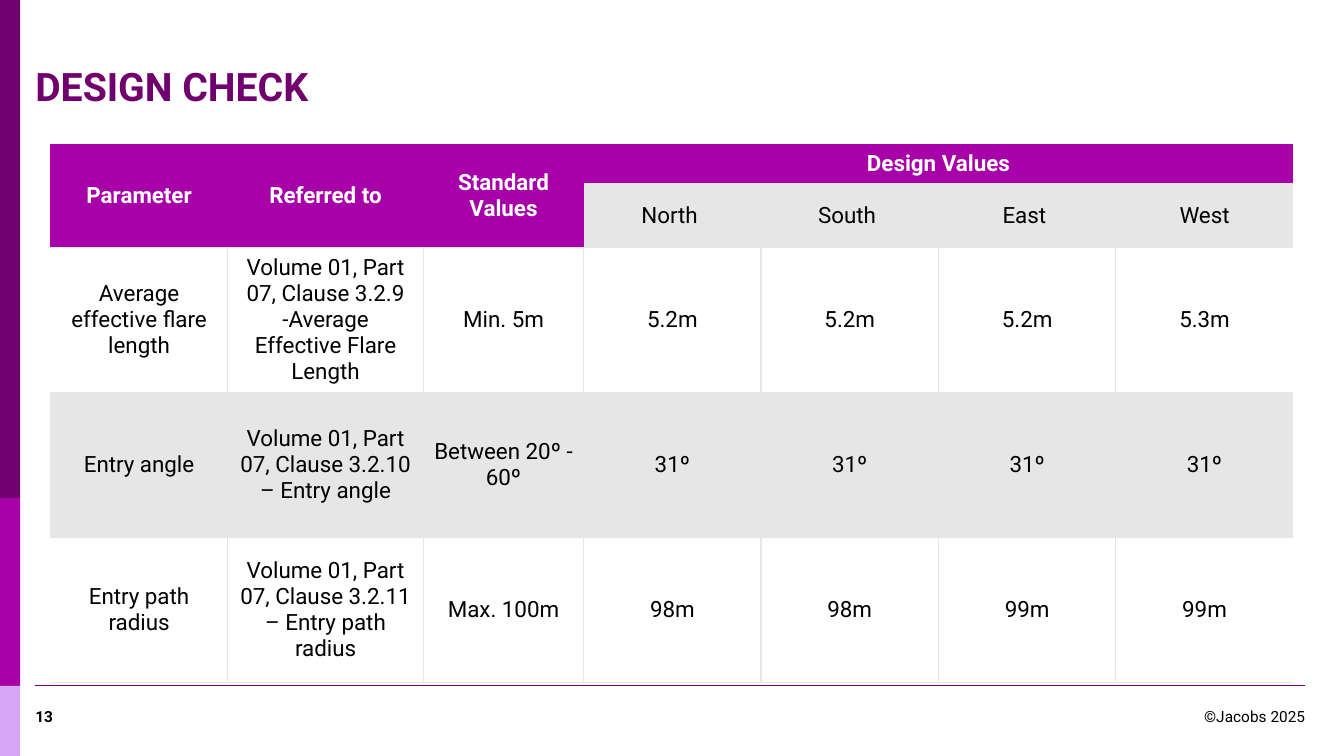
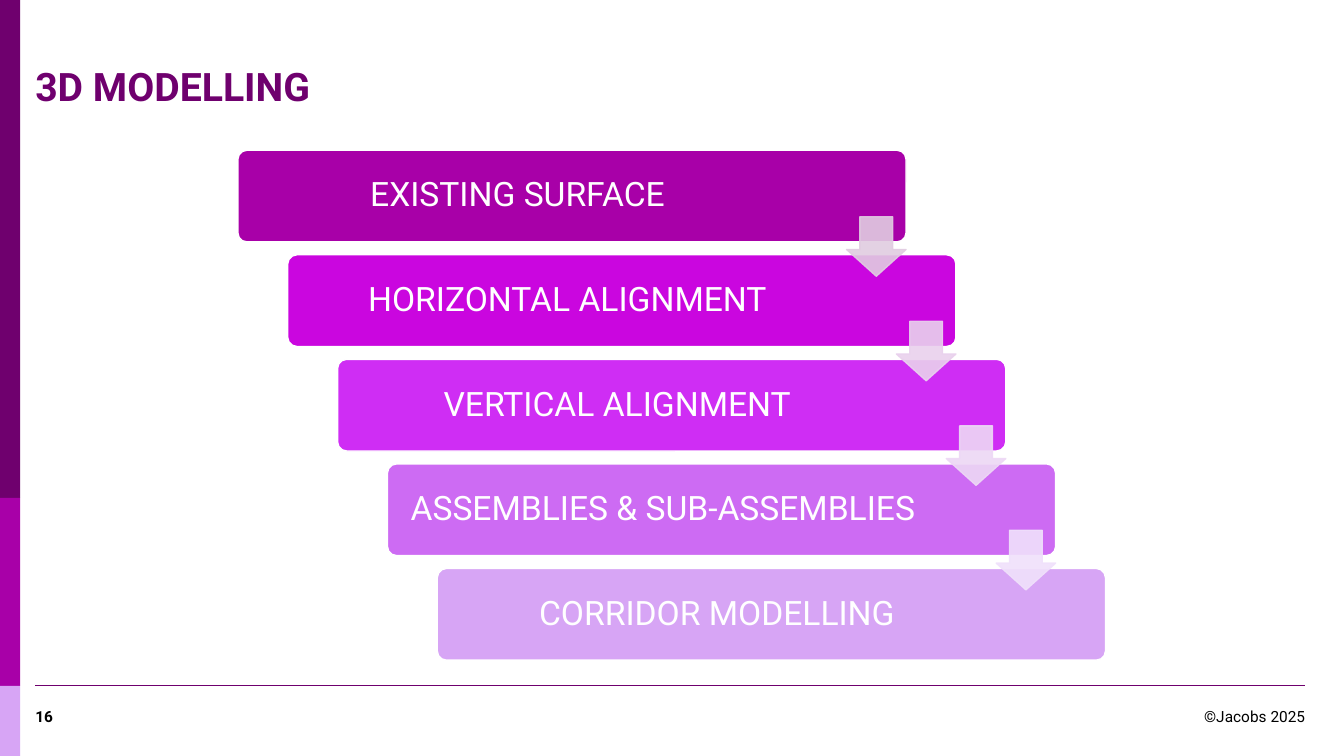
from dataclasses import dataclass

from pptx import Presentation
from pptx.dml.color import RGBColor
from pptx.enum.shapes import MSO_CONNECTOR, MSO_SHAPE
from pptx.enum.text import MSO_ANCHOR, PP_ALIGN
from pptx.oxml.ns import qn
from pptx.util import Inches, Pt
from lxml.etree import SubElement


@dataclass(frozen=True)
class Theme:
    """Colours, font and type sizes shared by all slides."""
    font: str = "Roboto"
    dark: str = "6F006E"
    main: str = "A800A8"
    light: str = "D7A5F5"
    grey: str = "E6E6E6"
    white: str = "FFFFFF"
    black: str = "000000"
    steps: tuple = ("A800A8", "CA06DF", "CF2DF4", "CD6BF3", "D7A5F5")
    arrows: tuple = ("E1CCE1", "E9D1ED", "EDD8F5", "F0E1FB")
    title_size: int = 28
    step_size: int = 24
    table_size: int = 16
    footer_size: int = 11


THEME = Theme()
WIDTH, HEIGHT = Inches(13.33), Inches(7.5)
LEFT, BODY_WIDTH = 2.63, 94.5
FOOTER_TOP, FOOTER_HEIGHT = 92, 4

HEADINGS = ("Parameter", "Referred to", "Standard Values", "Design Values")
ARMS = ("North ", "South ", "East ", "West")
CHECKS = (
    ("Average effective flare length",
     "Volume 01, Part 07, Clause 3.2.9 -Average Effective Flare Length",
     "Min. 5m", "5.2m", "5.2m", "5.2m", "5.3m"),
    ("Entry angle", "Volume 01, Part 07, Clause 3.2.10 – Entry angle",
     "Between 20º - 60º", "31º", "31º", "31º", "31º"),
    ("Entry path radius",
     "Volume 01, Part 07, Clause 3.2.11 – Entry path radius",
     "Max. 100m", "98m", "98m", "99m", "99m"),
)
STEPS = ("EXISTING SURFACE", "HORIZONTAL ALIGNMENT", "VERTICAL ALIGNMENT",
         "ASSEMBLIES & SUB-ASSEMBLIES ", "CORRIDOR MODELLING")


def across(percent):
    """Turn a percentage of the slide width into a length."""
    return round(WIDTH * percent / 100)


def down(percent):
    """Turn a percentage of the slide height into a length."""
    return round(HEIGHT * percent / 100)


def box(left, top, width, height):
    """Turn four percentages into a position and size."""
    return across(left), down(top), across(width), down(height)


def rgb(color):
    """Make a colour from its hex digits."""
    return RGBColor.from_string(color)


def write(tf, text, size, color, bold=False, align=PP_ALIGN.LEFT):
    """Put one styled paragraph into a text frame."""
    p = tf.paragraphs[0]
    p.text = text
    p.alignment = align
    p.font.name, p.font.size, p.font.bold = THEME.font, Pt(size), bold
    p.font.color.rgb = rgb(color)
    return p


def add_text(s, place, text, size, color, anchor, **style):
    """Add a text box without insets."""
    tf = s.shapes.add_textbox(*box(*place)).text_frame
    tf.word_wrap = True
    tf.vertical_anchor = anchor
    tf.margin_left = tf.margin_right = tf.margin_top = tf.margin_bottom = 0
    return write(tf, text, size, color, **style)


def add_shape(s, kind, place, fill, line=None, adjust=()):
    """Add a flat preset shape."""
    sp = s.shapes.add_shape(kind, *box(*place))
    sp.shadow.inherit = False
    for i, value in enumerate(adjust):
        sp.adjustments[i] = value
    sp.fill.solid()
    sp.fill.fore_color.rgb = rgb(fill)
    if line:
        sp.line.color.rgb = rgb(line)
        sp.line.width = Pt(1)
    else:
        sp.line.fill.background()
    return sp


def add_rule(s, left, right, top):
    """Add the thin line above the footer."""
    line = s.shapes.add_connector(MSO_CONNECTOR.STRAIGHT, across(left),
                                  down(top), across(right), down(top))
    line.line.color.rgb = rgb(THEME.dark)
    line.line.width = Pt(0.5)
    SubElement(line._element.spPr, qn("a:effectLst"))


def add_slide(prs, title, number):
    """Add a slide with side band, title and footer."""
    s = prs.slides.add_slide(prs.slide_layouts[6])
    edges = (0, 65.87, 90.73, 100)
    for top, bottom, color in zip(edges, edges[1:],
                                  (THEME.dark, THEME.main, THEME.light)):
        add_shape(s, MSO_SHAPE.RECTANGLE, (0, top, 1.5, bottom - top), color)
    add_rule(s, LEFT, LEFT + BODY_WIDTH, 90.67)
    p = add_text(s, (LEFT, 7.07, BODY_WIDTH, 9.33), title, THEME.title_size,
                 THEME.dark, MSO_ANCHOR.MIDDLE, bold=True)
    p.line_spacing = 0.9
    footer = (THEME.footer_size, THEME.black, MSO_ANCHOR.BOTTOM)
    add_text(s, (LEFT, FOOTER_TOP, 6.38, FOOTER_HEIGHT), str(number), *footer,
             bold=True)
    credit_width = 21
    add_text(s, (LEFT + BODY_WIDTH - credit_width, FOOTER_TOP, credit_width,
                 FOOTER_HEIGHT), "©Jacobs 2025", *footer,
             align=PP_ALIGN.RIGHT)
    return s


def set_borders(cell, ruled_sides):
    """Rule the given sides of a cell and clear the others."""
    tc_pr = cell._tc.get_or_add_tcPr()
    for side in "LRTB":
        ln = SubElement(tc_pr, qn(f"a:ln{side}"), w=str(Pt(1)))
        if side in ruled_sides:
            fill = SubElement(ln, qn("a:solidFill"))
            SubElement(fill, qn("a:srgbClr"), val=THEME.grey)
        else:
            SubElement(ln, qn("a:noFill"))


def add_check_table(s):
    """Add the table of design values against the standard."""
    widths = (13.2, 14.55, 11.93) + (13.2,) * len(ARMS)
    heights = (5.2,) * 2 + (19.2,) * len(CHECKS)
    first_arm, last = len(widths) - len(ARMS), len(widths) - 1
    rows = (HEADINGS + ("",) * (len(ARMS) - 1), ("",) * first_arm + ARMS,
            *CHECKS)
    table = s.shapes.add_table(
        len(heights), len(widths),
        *box(3.75, 19.07, sum(widths), sum(heights))).table
    table.horz_banding = False
    for column, width in zip(table.columns, widths):
        column.width = across(width)
    for row, height in zip(table.rows, heights):
        row.height = down(height)
    for c in range(first_arm):
        table.cell(0, c).merge(table.cell(1, c))
    table.cell(0, first_arm).merge(table.cell(0, last))
    for r, texts in enumerate(rows):
        for c, text in enumerate(texts):
            cell = table.cell(r, c)
            heading = r == 0 or (r == 1 and c < first_arm)
            sides = ("L" if c else "") + ("R" if c < last else "") + "TB"
            set_borders(cell, sides if r > 1 else "")
            cell.fill.solid()
            cell.fill.fore_color.rgb = rgb(
                THEME.main if heading else
                THEME.grey if r % 2 else THEME.white)
            cell.vertical_anchor = MSO_ANCHOR.MIDDLE
            write(cell.text_frame, text, THEME.table_size,
                  THEME.white if heading else THEME.black, heading,
                  PP_ALIGN.CENTER)


def add_step(s, place, text, color):
    """Add a rounded step card with its text clear of the arrow."""
    sp = add_shape(s, MSO_SHAPE.ROUNDED_RECTANGLE, place, color, THEME.white,
                   (0.1,))
    tf = sp.text_frame
    tf.word_wrap = True
    tf.vertical_anchor = MSO_ANCHOR.MIDDLE
    tf.margin_left, tf.margin_right = across(0.75), across(8.85)
    p = write(tf, text, THEME.step_size, THEME.white, align=PP_ALIGN.CENTER)
    p.line_spacing = 0.9


def add_step_arrow(s, place, color):
    """Add a slightly transparent arrow to the next step."""
    sp = add_shape(s, MSO_SHAPE.DOWN_ARROW, place, color, color, (0.55, 0.45))
    for clr in sp._element.spPr.iter(qn("a:srgbClr")):
        SubElement(clr, qn("a:alpha"), val="90000")


def add_cascade(s):
    """Add the staircase of steps joined by arrows."""
    width, height = 49.72, 12.13
    arrow_width, arrow_height = 4.43, 7.87
    places = [(17.7 + 3.71 * i, 19.87 + 13.83 * i) for i in range(len(STEPS))]
    for (left, top), text, color in zip(places, STEPS, THEME.steps):
        add_step(s, (left, top, width, height), text, color)
    for (left, top), color in zip(places, THEME.arrows):
        add_step_arrow(s, (left + width - arrow_width, top + 8.8,
                           arrow_width, arrow_height), color)


def main():
    """Build and save the presentation."""
    prs = Presentation()
    prs.slide_width, prs.slide_height = WIDTH, HEIGHT
    add_check_table(add_slide(prs, "DESIGN CHECK", 13))
    add_cascade(add_slide(prs, "3D MODELLING", 16))
    prs.save("out.pptx")


if __name__ == "__main__":
    main()
